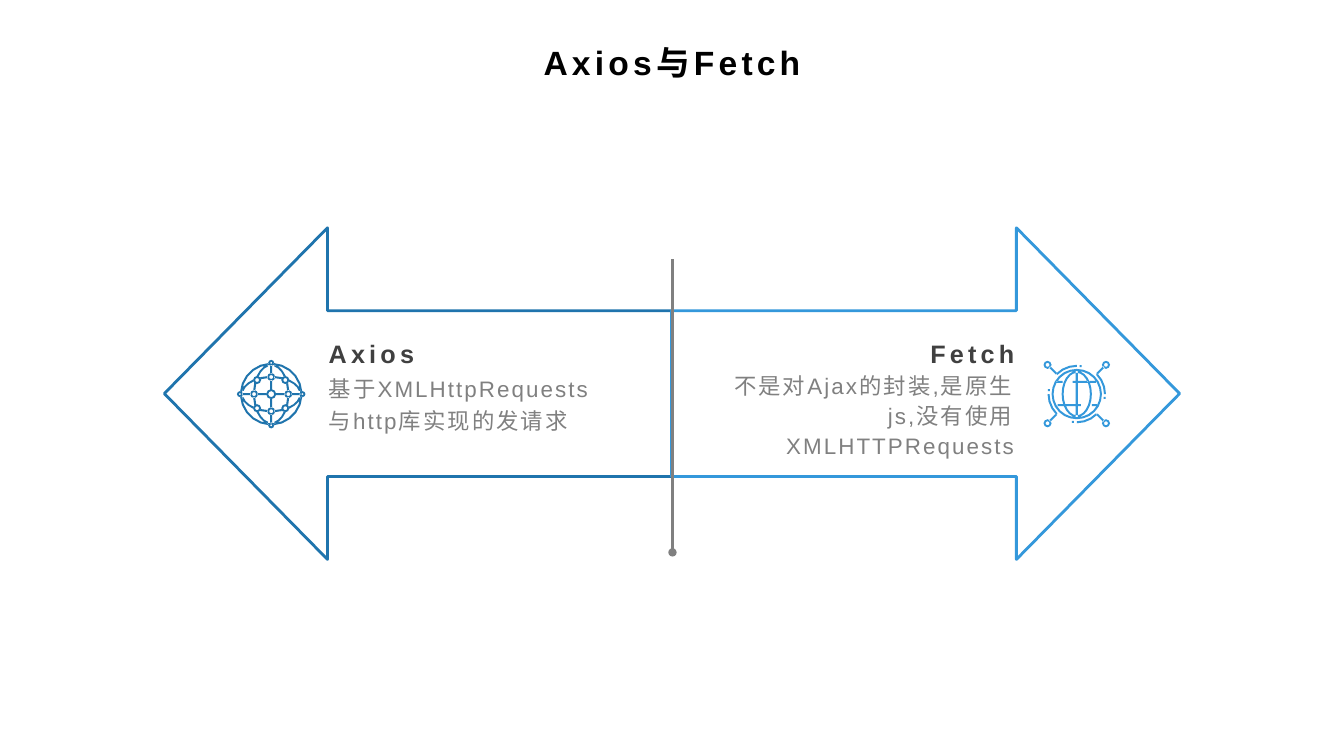
from itertools import product
from math import cos, hypot, radians, sin

from lxml import etree
from pptx import Presentation
from pptx.dml.color import RGBColor
from pptx.enum.shapes import MSO_CONNECTOR, MSO_SHAPE
from pptx.enum.text import MSO_ANCHOR as Anchor, MSO_AUTO_SIZE as AutoSize, PP_ALIGN as Align
from pptx.oxml.ns import qn
from pptx.util import Inches, Pt

DARK_BLUE = RGBColor(0x1F, 0x74, 0xAD)
LIGHT_BLUE = RGBColor(0x34, 0x98, 0xDB)
WHITE = RGBColor(0xFF, 0xFF, 0xFF)
BLACK = RGBColor(0, 0, 0)
CHARCOAL = RGBColor(0x40, 0x40, 0x40)
GRAY = RGBColor(0x80, 0x80, 0x80)
HALF = 0.01  # half the stroke of the icons, in inches

deck = Presentation()
deck.slide_width, deck.slide_height = Inches(13.33), Inches(7.5)
page = deck.slides.add_slide(deck.slide_layouts.get_by_name("Comparison"))
shapes = page.shapes


def band(x, y, radius_x, radius_y, start=0, end=360):
    """Outline of a thin elliptical band between two angles in degrees."""
    step = 15 if radius_x > 0.1 else 45
    count = max(1, round((end - start) / step))
    angles = [radians(start + (end - start) * i / count) for i in range(count + 1)]
    outer = [(x + (radius_x + HALF) * cos(a), y + (radius_y + HALF) * sin(a)) for a in angles]
    inner = [(x + (radius_x - HALF) * cos(a), y + (radius_y - HALF) * sin(a)) for a in angles]
    return outer + inner[::-1]


def bar(x1, y1, x2, y2):
    """Outline of a thin straight bar."""
    length = hypot(x2 - x1, y2 - y1)
    dx, dy = HALF * (y1 - y2) / length, HALF * (x2 - x1) / length
    return [(x1 + dx, y1 + dy), (x2 + dx, y2 + dy), (x2 - dx, y2 - dy), (x1 - dx, y1 - dy)]


# Two opposed arrows
for kind, left, color in ((MSO_SHAPE.LEFT_ARROW, 1.63, DARK_BLUE),
                          (MSO_SHAPE.RIGHT_ARROW, 6.66, LIGHT_BLUE)):
    arrow = shapes.add_shape(kind, Inches(left), Inches(2.26), Inches(5.04), Inches(3.29))
    arrow.adjustments[0], arrow.adjustments[1] = 0.5, 0.492
    arrow.shadow.inherit = False
    arrow.fill.solid()
    arrow.fill.fore_color.rgb = WHITE
    arrow.line.color.rgb = color
    arrow.line.width = Pt(2)

# Divider with a round end
divider = shapes.add_connector(MSO_CONNECTOR.STRAIGHT, Inches(6.67), Inches(2.57),
                               Inches(6.67), Inches(5.48))
divider.line.color.rgb = GRAY
divider.line.width = Pt(1.5)
etree.SubElement(divider.line._get_or_add_ln(), qn("a:tailEnd"), type="oval")
etree.SubElement(divider._element.spPr, qn("a:effectLst"))

# Title, headings and descriptions in the layout's placeholders
title = {"size": Pt(24), "bold": True, "color": BLACK, "spacing": 300}
heading = {"size": Pt(18), "bold": True, "color": CHARCOAL, "spacing": 300}
detail = {"size": Pt(16), "bold": False, "color": GRAY, "spacing": 150}
texts = (
    (1, "Axios", (3.16, 3.26, 3.01, 0.4), heading, Align.LEFT, 1.1),
    (2, "基于XMLHttpRequests与http库实现的发请求", (3.16, 3.67, 3.01, 0.99),
     detail, Align.LEFT, 1.2),
    (3, "Fetch", (7.17, 3.26, 2.99, 0.4), heading, Align.RIGHT, 1.1),
    (4, "不是对Ajax的封装,是原生js,没有使用XMLHTTPRequests", (7.17, 3.67, 2.99, 0.99),
     detail, Align.RIGHT, 1.1),
    (0, "Axios与Fetch", (0.5, 0.25, 12.33, 0.57), title, Align.CENTER, 1.2),
)
boxes = {box.placeholder_format.idx: box for box in page.placeholders}
for index, text, place, style, align, spacing in texts:
    box = boxes[index]
    box.left, box.top, box.width, box.height = map(Inches, place)
    shapes._spTree.append(box._element)  # in front of the arrows
    is_detail = style is detail
    frame_format = {
        "auto_size": AutoSize.NONE, "word_wrap": True,
        "vertical_anchor": Anchor.TOP if is_detail else Anchor.BOTTOM,
        "margin_left": Inches(0.1), "margin_right": Inches(0.1),
        "margin_top": Inches(0 if is_detail else 0.05),
        "margin_bottom": Inches(0.05 if is_detail else 0),
    }
    for name, value in frame_format.items():
        setattr(box.text_frame, name, value)
    para = box.text_frame.paragraphs[0]
    para_format = {"alignment": align, "line_spacing": spacing,
                   "space_before": Pt(0), "space_after": Pt(0)}
    for name, value in para_format.items():
        setattr(para, name, value)
    properties = para._p.get_or_add_pPr()
    properties.set("marL", "0")
    properties.set("indent", "0")
    etree.SubElement(properties, qn("a:buNone"))
    span = para.add_run()
    span.text = text
    for name, value in {"name": "Arial", "size": style["size"], "bold": style["bold"]}.items():
        setattr(span.font, name, value)
    span.font.color.rgb = style["color"]
    span._r.get_or_add_rPr().set("spc", str(style["spacing"]))

# Linked globe: rings, meridian, parallels, corner nodes, orbit arcs and dots
linked_globe = [band(0, 0, 0.24, 0.24), band(0, 0, 0.14, 0.22), bar(0, -0.23, 0, 0.23)]
for start, end, level in ((-0.2, -0.14, -0.12), (-0.04, -0.01, -0.12), (0.01, 0.11, -0.12),
                          (0.13, 0.19, -0.12), (-0.19, -0.13, 0.11), (-0.11, -0.01, 0.11),
                          (0.01, 0.04, 0.11), (0.15, 0.2, 0.11)):
    linked_globe.append(bar(start, level, end, level))
for side_x, side_y in product((-1, 1), repeat=2):
    linked_globe.append(bar(0.2 * side_x, 0.2 * side_y, 0.27 * side_x, 0.27 * side_y))
    linked_globe.append(band(0.29 * side_x, 0.29 * side_y, 0.03, 0.03))
for start in (45, 135, 225, 315):
    linked_globe.append(band(0, 0, 0.28, 0.28, start, start + 45))
    angle = radians(start + 53)
    dot_x, dot_y = 0.28 * cos(angle), 0.28 * sin(angle)
    linked_globe.append(bar(dot_x - HALF, dot_y, dot_x + HALF, dot_y))

# Network globe: strands between the nodes, quarter by quarter, then the nodes
network_globe = [band(0, 0, 0.04, 0.04)]
for turn in (0, 90, 180, 270):
    x, y = round(cos(radians(turn))), round(sin(radians(turn)))
    radius_x, radius_y = (0.17, 0.29) if y == 0 else (0.29, 0.17)
    network_globe.append(band(0, 0, 0.3, 0.3, turn + 4, turn + 86))
    for start, end in ((-79, -37), (-21, -6), (6, 21), (37, 79)):
        network_globe.append(band(0, 0, radius_x, radius_y, turn + start, turn + end))
    for start, end in ((0.05, 0.14), (0.2, 0.29)):
        network_globe.append(bar(x * start, y * start, x * end, y * end))
    for distance, radius in ((0.17, 0.03), (0.31, 0.02)):
        network_globe.append(band(x * distance, y * distance, radius, radius))
    network_globe.append(band(0.14 * (x - y), 0.14 * (x + y), 0.03, 0.03))

# Each icon is one filled outline
for center_x, outlines, color in ((10.68, linked_globe, LIGHT_BLUE),
                                  (2.69, network_globe, DARK_BLUE)):
    pen = None
    for outline in outlines:
        points = [(center_x + x, 3.91 + y) for x, y in outline]
        if pen is None:
            pen = shapes.build_freeform(*[1000 * value for value in points[0]],
                                        scale=Inches(1) / 1000)
        else:
            pen.move_to(*[1000 * value for value in points[0]])
        pen.add_line_segments([(1000 * x, 1000 * y) for x, y in points[1:]], close=True)
    icon = pen.convert_to_shape()
    icon.shadow.inherit = False
    icon.fill.solid()
    icon.fill.fore_color.rgb = color
    icon.line.fill.background()

deck.save("out.pptx")
